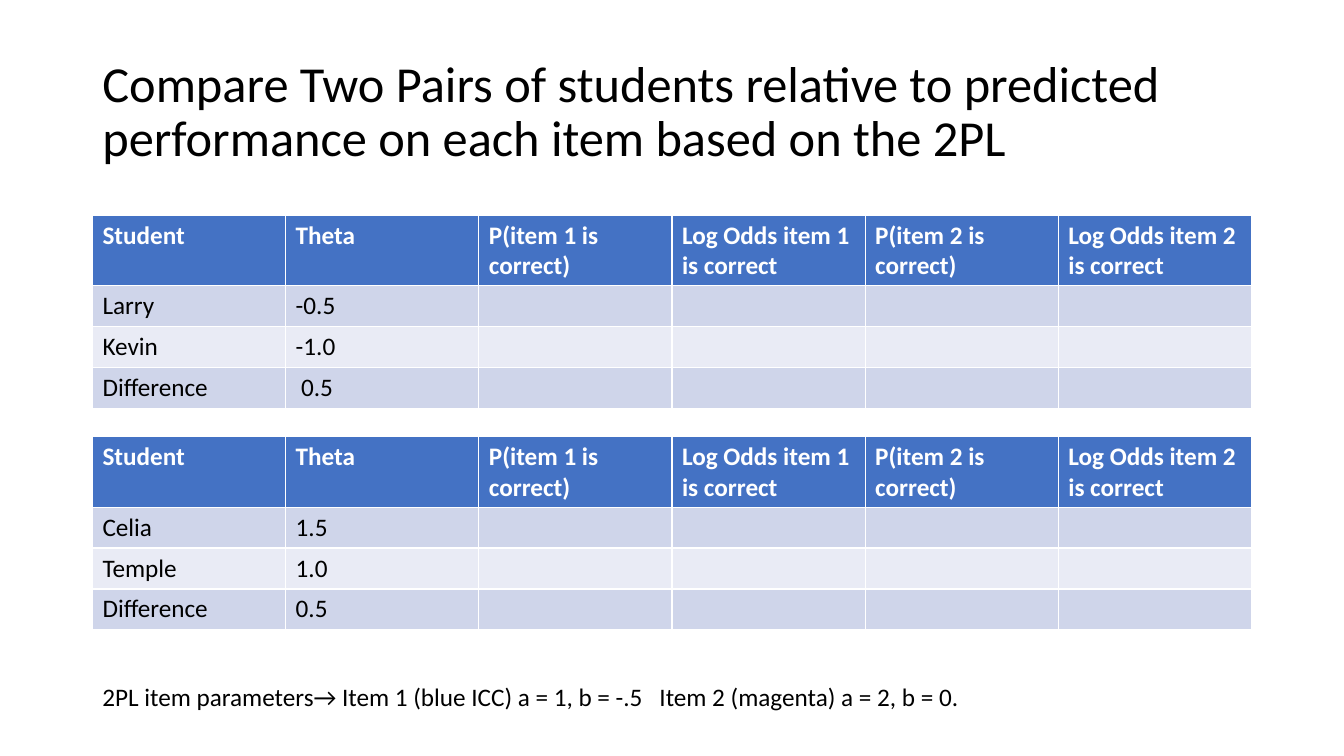
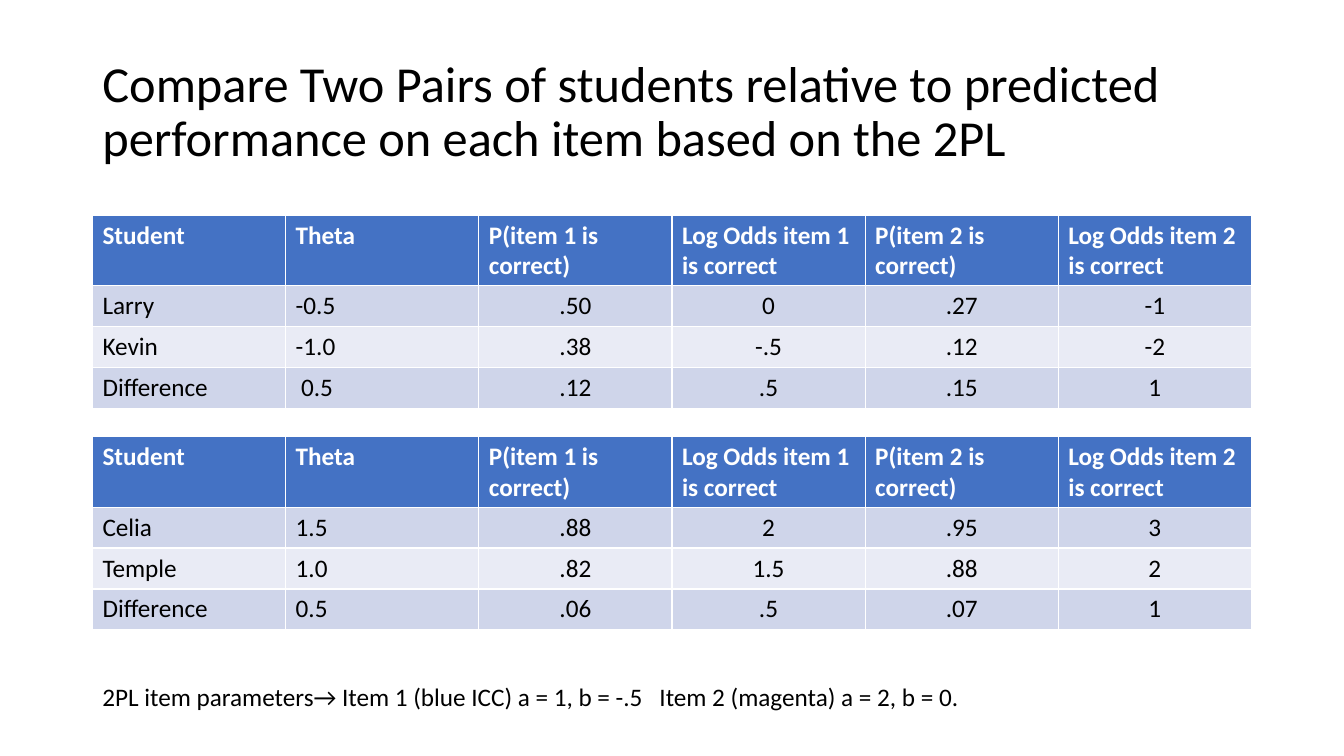
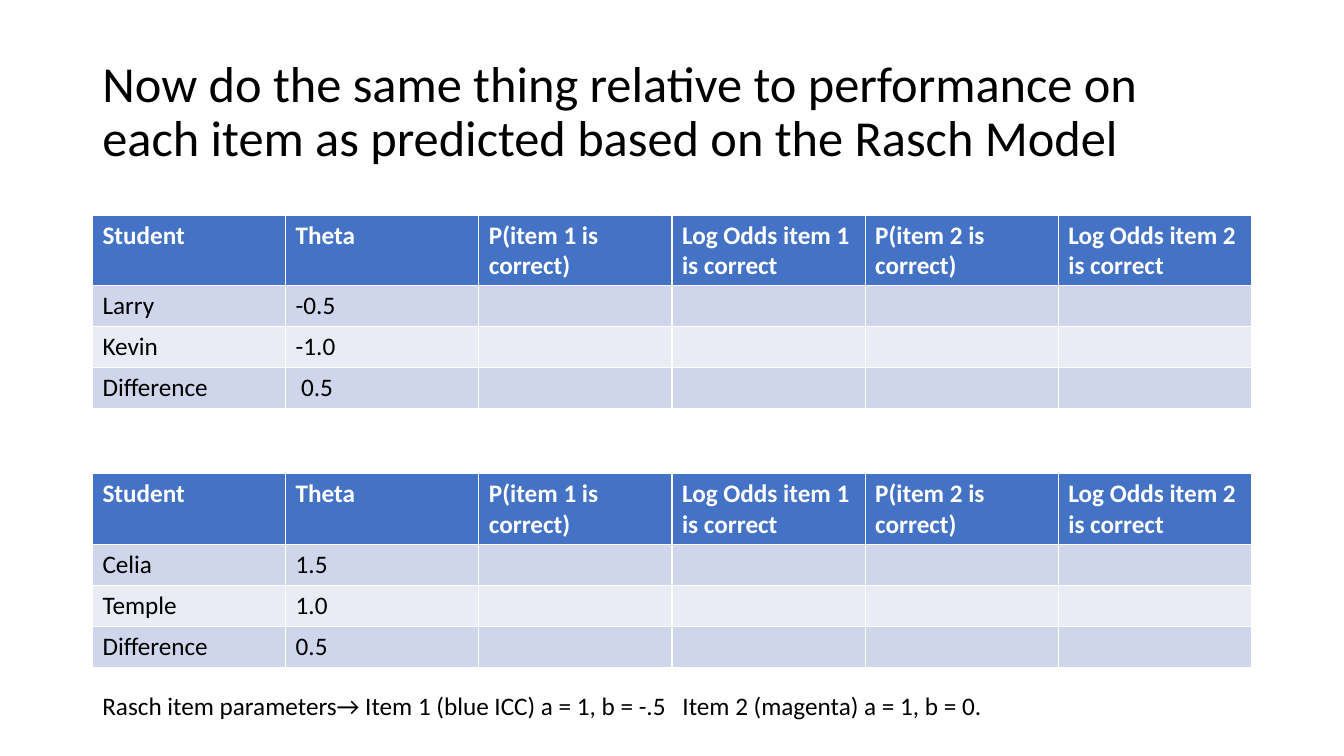
from lxml import etree
from pptx import Presentation
from pptx.dml.color import RGBColor
from pptx.enum.text import MSO_ANCHOR, PP_ALIGN
from pptx.oxml.ns import qn
from pptx.util import Cm, Pt

MIDDLE = MSO_ANCHOR.MIDDLE
LEFT, CENTER = PP_ALIGN.LEFT, PP_ALIGN.CENTER

BLACK, WHITE = "000000", "FFFFFF"
BLUE = "4472C4"
BANDS = ["CFD5EA", "E9EBF5"]

EDGE, WIDTH = 2.33, 29.21
HEAD_H, ROW_H = 1.78, 1.03
PAD, INDENT = 0.25, 0.14

TITLE = {"size": Pt(36), "name": "Calibri", "bold": False}
BODY = {"size": Pt(18), "name": "Calibri", "bold": False}
HEAD = {**BODY, "bold": True}

HEADS = ["Student", "Theta"] + [
    f"{start}item {item} {end}"
    for item in (1, 2)
    for start, end in (("P(", "is correct)"), ("Log Odds ", "is correct"))
]
FIRST = [["Larry", "-0.5"], ["Kevin", "-1.0"], ["Difference", "0.5"]]
SECOND = [["Celia", "1.5"], ["Temple", "1.0"], ["Difference", "0.5"]]
FIRST_KEY = [
    [".50", "0", ".27", "-1"],
    [".38", "-.5", ".12", "-2"],
    [".12", ".5", ".15", "1"],
]
SECOND_KEY = [
    [".88", "2", ".95", "3"],
    [".82", "1.5", ".88", "2"],
    [".06", ".5", ".07", "1"],
]
NO_KEY = [[""] * 4] * 3

PAIRS = "Compare Two Pairs of students relative to predicted performance on each item based on the 2PL"
RASCH = "Now do the same thing relative to performance on each item as predicted based on the Rasch Model"


def color(code):
    return RGBColor.from_string(code)


def write(para, text, style, ink=BLACK):
    run = para.add_run()
    run.text = text
    for key, value in style.items():
        setattr(run.font, key, value)
    run.font.color.rgb = color(ink)


def add_box(slide, top, height, width=WIDTH):
    box = slide.shapes.add_textbox(Cm(EDGE), Cm(top), Cm(width), Cm(height))
    box.text_frame.word_wrap = True
    return box.text_frame


def add_title(slide, text):
    frame = add_box(slide, 1.01, 3.68)
    frame.vertical_anchor = MIDDLE
    para = frame.paragraphs[0]
    para.line_spacing = 0.9
    write(para, text, TITLE)


def add_note(slide, top, parts, stop):
    """Write the two item settings on one line, the second at a tab stop."""
    para = add_box(slide, top, 1.03, 24.2).paragraphs[0]
    tabs = etree.SubElement(para._p.get_or_add_pPr(), qn("a:tabLst"))
    etree.SubElement(tabs, qn("a:tab"), pos=str(Cm(stop)), algn="l")
    write(para, "\t".join(parts), BODY)


def fill_cell(cell, text, fill, style, ink, align=LEFT):
    cell.fill.solid()
    cell.fill.fore_color.rgb = color(fill)
    para = cell.text_frame.paragraphs[0]
    para.alignment = align
    if text:
        write(para, text, style, ink)


def add_grid(slide, top, names, key):
    rows = [left + right for left, right in zip(names, key)]
    height = HEAD_H + ROW_H * len(rows)
    grid = slide.shapes.add_table(
        len(rows) + 1, len(HEADS), Cm(EDGE), Cm(top), Cm(WIDTH), Cm(height)
    ).table
    grid.rows[0].height = Cm(HEAD_H)
    for col, text in enumerate(HEADS):
        fill_cell(grid.cell(0, col), text, BLUE, HEAD, WHITE)
    signed = any(theta.startswith("-") for _, theta in names)
    for row, texts in enumerate(rows, 1):
        grid.rows[row].height = Cm(ROW_H)
        for col, text in enumerate(texts):
            cell = grid.cell(row, col)
            align = LEFT if col < 2 else CENTER
            fill_cell(cell, text, BANDS[(row - 1) % 2], BODY, BLACK, align)
            if col == 1 and signed and not text.startswith("-"):
                cell.margin_left = Cm(PAD + INDENT)


def add_page(deck, title, keys, low, note):
    slide = deck.slides.add_slide(deck.slide_layouts[6])
    add_title(slide, title)
    add_grid(slide, 5.42, FIRST, keys[0])
    add_grid(slide, low, SECOND, keys[1])
    add_note(slide, *note)


def main():
    deck = Presentation()
    deck.slide_width, deck.slide_height = Cm(33.87), Cm(19.05)
    blank = (NO_KEY, NO_KEY)
    two = ["2PL item parameters→ Item 1 (blue ICC) a = 1, b = -.5",
           "Item 2 (magenta) a = 2, b = 0."]
    one = ["Rasch item parameters→ Item 1 (blue ICC) a = 1, b = -.5",
           "Item 2 (magenta) a = 1, b = 0."]
    for keys in (blank, (FIRST_KEY, SECOND_KEY)):
        add_page(deck, PAIRS, keys, 11, (17.04, two, 14.04))
    add_page(deck, RASCH, blank, 11.94, (17.28, one, 14.62))
    deck.save("out.pptx")


if __name__ == "__main__":
    main()
